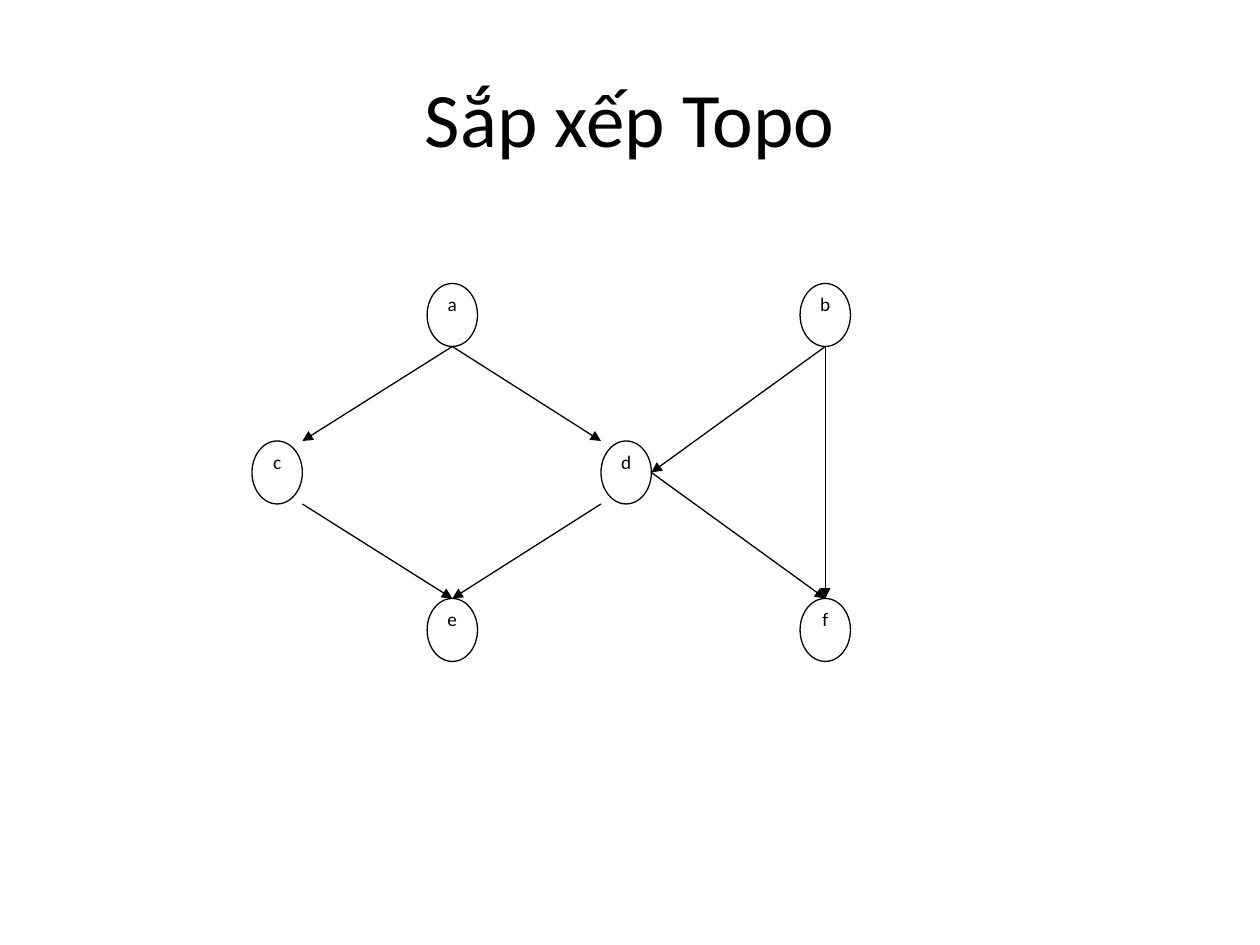
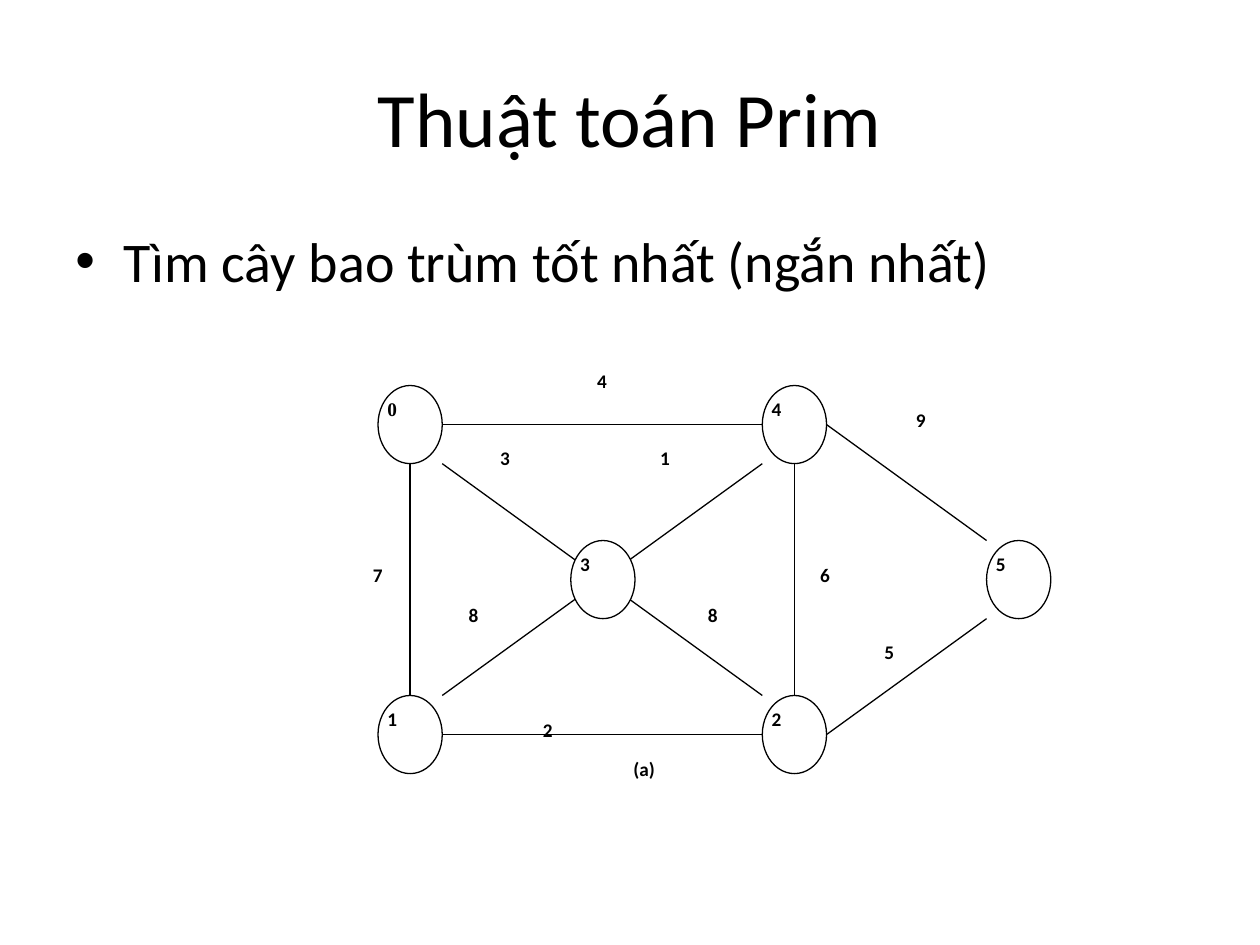
from dataclasses import dataclass

from lxml import etree
from pptx import Presentation
from pptx.dml.color import RGBColor
from pptx.enum.shapes import MSO_CONNECTOR, MSO_SHAPE
from pptx.enum.text import MSO_ANCHOR, PP_ALIGN
from pptx.oxml.ns import qn
from pptx.util import Inches, Pt

LINE = MSO_CONNECTOR.STRAIGHT
OVAL = MSO_SHAPE.OVAL
TOP, MIDDLE = MSO_ANCHOR.TOP, MSO_ANCHOR.MIDDLE
LEFT, CENTER = PP_ALIGN.LEFT, PP_ALIGN.CENTER
TITLE_ONLY = 5


@dataclass(frozen=True)
class Theme:
    ink: RGBColor = RGBColor(0, 0, 0)
    paper: RGBColor = RGBColor(255, 255, 255)
    font: str = "Calibri"
    serif: str = "Times New Roman"
    title_size: int = 44
    body_size: int = 32
    label_size: int = 11
    line_width: float = 0.75


THEME = Theme()
TITLE_BOX = (0.5, 0.3, 9, 1.25)
BODY_BOX = (0.5, 1.75, 9, 4.95)
ANCHORS = {
    "n": (0.5, 0), "s": (0.5, 1), "w": (0, 0.5), "e": (1, 0.5),
    "nw": (0, 0), "ne": (1, 0), "sw": (0, 1), "se": (1, 1),
}

TOPO_SIZE = (0.4, 0.5)
TOPO_ROWS = (2.25, 3.5, 4.75)
TOPO_COLS = (2, 3.39, 4.77, 6.35)
TOPO_NODES = {"d": (2, 1), "a": (1, 0), "e": (1, 2),
              "c": (0, 1), "f": (3, 2), "b": (3, 0)}
TOPO_EDGES = ["a.s c.ne", "a.s d.nw", "c.se e.n", "d.sw e.n",
              "b.s f.n", "b.s d.e", "d.e f.n"]

PRIM_SIZE = (0.51, 0.62)
PRIM_ROWS = (3.06, 4.29, 5.52)
PRIM_COLS = (3, 4.53, 6.05, 7.83)
PRIM_NODES = {"0": (0, 0), "1": (0, 2), "3": (1, 1),
              "4": (2, 0), "2": (2, 2), "5": (3, 1)}
PRIM_EDGES = ["4.sw 1.ne", "0.se 2.nw", "0.s 1.n", "4.s 2.n",
              "0.e 4.w", "1.e 2.w", "4.e 5.nw", "2.e 5.sw"]
WEIGHT_SIZE = (0.76, 0.92)
CAPTION_BOX = (4.78, 5.83, 1.01, 0.92)
PRIM_WEIGHTS = [
    ("8", 5.41, 4.6), ("3", 3.76, 3.36), ("1", 5.03, 3.36), ("6", 6.3, 4.29),
    ("5", 6.81, 4.9), ("2", 4.1, 5.52), ("7", 2.75, 4.29), ("8", 3.51, 4.6),
    ("9", 7.06, 3.06), ("4", 4.53, 2.75),
]


def set_attrs(obj, values):
    for name, value in values.items():
        setattr(obj, name, value)


def write(sp, text, size, align=LEFT, anchor=TOP, margins=(0.1, 0.05),
          font=THEME.font, bold=False, before=0, after=0):
    tf = sp.text_frame
    mx, my = map(Inches, margins)
    set_attrs(tf, {"word_wrap": True, "vertical_anchor": anchor,
                   "margin_left": mx, "margin_right": mx,
                   "margin_top": my, "margin_bottom": my})
    p = tf.paragraphs[0]
    set_attrs(p, {"alignment": align, "space_before": Pt(before),
                  "space_after": Pt(after)})
    r = p.add_run()
    r.text = text
    set_attrs(r.font, {"name": font, "size": Pt(size), "bold": bold})
    r.font.color.rgb = THEME.ink
    return p


def add_titled_slide(prs, title):
    s = prs.slides.add_slide(prs.slide_layouts[TITLE_ONLY])
    sp = s.shapes.title
    set_attrs(sp, dict(zip(("left", "top", "width", "height"), map(Inches, TITLE_BOX))))
    write(sp, title, THEME.title_size, CENTER, MIDDLE)
    return s


def add_bullet(s, text):
    sp = s.shapes.add_textbox(*map(Inches, BODY_BOX))
    p = write(sp, text, THEME.body_size, before=8)
    pPr = p._p.get_or_add_pPr()
    pPr.set("marL", str(Inches(0.38)))
    pPr.set("indent", str(Inches(-0.38)))
    etree.SubElement(pPr, qn("a:buFont"), typeface="Arial")
    etree.SubElement(pPr, qn("a:buChar"), char="•")


def add_oval(s, box):
    sp = s.shapes.add_shape(OVAL, *map(Inches, box))
    sp.shadow.inherit = False
    return sp


def add_node(s, box, text, **style):
    sp = add_oval(s, box)
    sp.fill.solid()
    sp.fill.fore_color.rgb = THEME.paper
    sp.line.color.rgb = THEME.ink
    sp.line.width = Pt(THEME.line_width)
    write(sp, text, THEME.label_size, margins=(0, 0), after=10, **style)


def add_label(s, box, text):
    sp = add_oval(s, box)
    sp.fill.background()
    sp.line.fill.background()
    write(sp, text, THEME.label_size, bold=True, after=10)


def add_edge(s, start, end, arrow):
    sp = s.shapes.add_connector(LINE, *map(Inches, start + end))
    sp.line.color.rgb = THEME.ink
    sp.line.width = Pt(THEME.line_width)
    spPr = sp._element.spPr
    if arrow:
        etree.SubElement(spPr.find(qn("a:ln")), qn("a:tailEnd"), type="triangle")
    etree.SubElement(spPr, qn("a:effectLst"))


def node_boxes(nodes, cols, rows, size):
    return {name: (cols[col], rows[row], *size) for name, (col, row) in nodes.items()}


def anchor_point(boxes, ref):
    name, side = ref.split(".")
    x, y, w, h = boxes[name]
    fx, fy = ANCHORS[side]
    return x + fx * w, y + fy * h


def add_edges(s, boxes, edges, arrow=False):
    for edge in edges:
        start, end = (anchor_point(boxes, ref) for ref in edge.split())
        add_edge(s, start, end, arrow)


def build_topo_slide(prs):
    s = add_titled_slide(prs, "Sắp xếp Topo")
    boxes = node_boxes(TOPO_NODES, TOPO_COLS, TOPO_ROWS, TOPO_SIZE)
    for name, box in boxes.items():
        add_node(s, box, name, align=CENTER)
    add_edges(s, boxes, TOPO_EDGES, arrow=True)


def build_prim_slide(prs):
    s = add_titled_slide(prs, "Thuật toán Prim")
    add_bullet(s, "Tìm cây bao trùm tốt nhất (ngắn nhất)")
    boxes = node_boxes(PRIM_NODES, PRIM_COLS, PRIM_ROWS, PRIM_SIZE)
    add_edges(s, boxes, PRIM_EDGES)
    for name, box in boxes.items():
        font = THEME.serif if name == "0" else THEME.font
        add_node(s, box, name, bold=True, font=font)
    for weight, x, y in PRIM_WEIGHTS:
        add_label(s, (x, y, *WEIGHT_SIZE), weight)
    add_label(s, CAPTION_BOX, "(a)")


def main():
    prs = Presentation()
    set_attrs(prs, {"slide_width": Inches(10), "slide_height": Inches(7.5)})
    build_topo_slide(prs)
    build_prim_slide(prs)
    prs.save("out.pptx")


if __name__ == "__main__":
    main()
